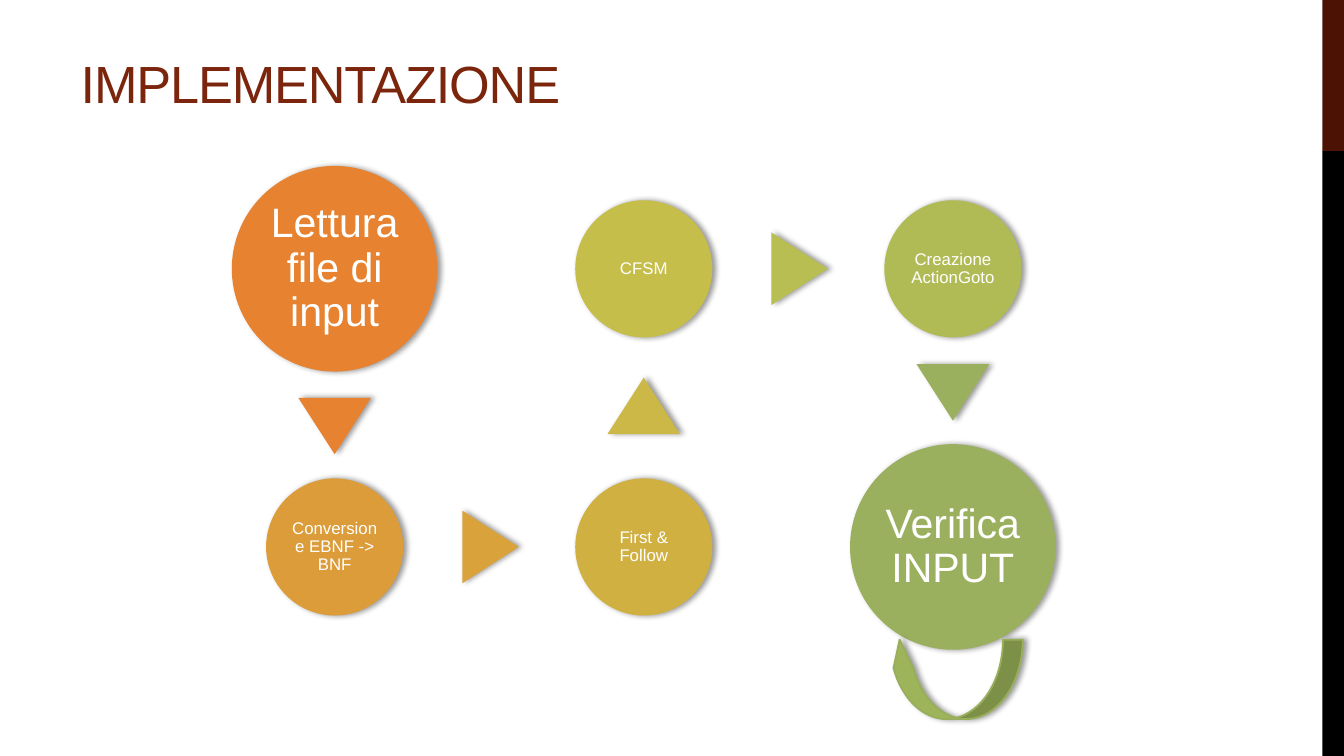
from lxml.etree import SubElement
from pptx import Presentation
from pptx.dml.color import RGBColor
from pptx.enum.shapes import MSO_SHAPE
from pptx.enum.text import MSO_ANCHOR, MSO_AUTO_SIZE, PP_ALIGN
from pptx.oxml.ns import qn
from pptx.util import Inches, Pt

WIDTH = 10
HEIGHT = WIDTH * 9 / 16
COLS = [2.49, 4.79, 7.09]
ROWS = [2, 4.07]
BIG = {"size": 1.53, "font": 22, "inset": 0.03}
SMALL = {"size": 1.02, "font": 9, "inset": 0.02}
STEPS = [
    (0, 0, "Lettura file di input", "E68230", BIG),
    (0, 1, "Conversione EBNF -> BNF", "DB9C39", SMALL),
    (1, 1, "First & Follow", "D1B042", SMALL),
    (1, 0, "CFSM", "C6BE4B", SMALL),
    (2, 0, "Creazione ActionGoto", "B1BB55", SMALL),
    (2, 1, "Verifica INPUT", "9BB05E", BIG),
]
ARROWS = [
    (COLS[0], 3.17, 180, "E68230"),
    (3.65, ROWS[1], 90, "D9A23B"),
    (COLS[1], 3.02, 0, "CBB847"),
    (5.95, ROWS[0], 90, "B8BE52"),
    (COLS[2], 2.92, 180, "9BB05E"),
]


def color(code):
    return RGBColor.from_string(code)


def assign(item, values):
    for name, value in values.items():
        setattr(item, name, value)


def style(run, size, code):
    assign(run.font, {"name": "Arial", "size": Pt(size), "bold": False})
    run.font.color.rgb = color(code)


def shade(shape):
    effects = shape._element.spPr.find(qn("a:effectLst"))
    shadow = SubElement(effects, qn("a:outerShdw"), blurRad=str(Pt(3.1)),
                        dist=str(Pt(1.8)), dir="0", rotWithShape="0")
    black = SubElement(shadow, qn("a:srgbClr"), val="000000")
    SubElement(black, qn("a:alpha"), val="40000")


def add_form(slide, kind, box, code, turn=0, shadow=True):
    shape = slide.shapes.add_shape(kind, *map(Inches, box))
    shape.rotation = turn
    shape.fill.solid()
    shape.fill.fore_color.rgb = color(code)
    shape.line.fill.background()
    shape.shadow.inherit = False
    if shadow:
        shade(shape)
    return shape


def center(x, y, width, height):
    return x - width / 2, y - height / 2, width, height


def add_step(slide, col, row, text, code, form):
    box = center(COLS[col], ROWS[row], form["size"], form["size"])
    frame = add_form(slide, MSO_SHAPE.OVAL, box, code).text_frame
    sides = ("left", "right", "top", "bottom")
    assign(frame, {"margin_" + side: Inches(form["inset"]) for side in sides})
    assign(frame, {"word_wrap": True, "vertical_anchor": MSO_ANCHOR.MIDDLE})
    para = frame.paragraphs[0]
    assign(para, {"alignment": PP_ALIGN.CENTER, "line_spacing": 0.9})
    run = para.add_run()
    run.text = text
    style(run, form["font"], "FFFFFF")


def add_arrow(slide, x, y, turn, code):
    add_form(slide, MSO_SHAPE.ISOSCELES_TRIANGLE, center(x, y, 0.54, 0.42), code, turn)


def add_loop(slide):
    loop = add_form(slide, MSO_SHAPE.CURVED_LEFT_ARROW,
                    (6.82, 4.56, 0.59, 0.99), "9DB45A", 90)
    for index, value in enumerate((0.25, 0.25, 0.36)):
        loop.adjustments[index] = value
    loop.line.color.rgb = color("99AE5A")
    loop.line.width = Pt(1)


def add_bars(slide):
    split = HEIGHT / 5
    for top, height, code in ((0, split, "4C1304"), (split, HEIGHT - split, "000000")):
        add_form(slide, MSO_SHAPE.RECTANGLE, (9.84, top, 0.16, height), code, shadow=False)


def set_title(slide, text):
    title = slide.shapes.title
    assign(title, {"left": Inches(0.5), "top": Inches(0.13),
                   "width": Inches(8.33), "height": Inches(0.77)})
    frame = title.text_frame
    assign(frame, {"vertical_anchor": MSO_ANCHOR.BOTTOM, "word_wrap": True,
                   "auto_size": MSO_AUTO_SIZE.NONE})
    para = frame.paragraphs[0]
    para.alignment = PP_ALIGN.LEFT
    run = para.add_run()
    run.text = text
    style(run, 28, "7C250D")
    run.font._element.set("spc", "-60")


def main():
    deck = Presentation()
    assign(deck, {"slide_width": Inches(WIDTH), "slide_height": Inches(HEIGHT)})
    slide = deck.slides.add_slide(deck.slide_layouts[5])
    add_bars(slide)
    set_title(slide, "IMPLEMENTAZIONE")
    for step in STEPS:
        add_step(slide, *step)
    for arrow in ARROWS:
        add_arrow(slide, *arrow)
    add_loop(slide)
    deck.save("out.pptx")


main()
